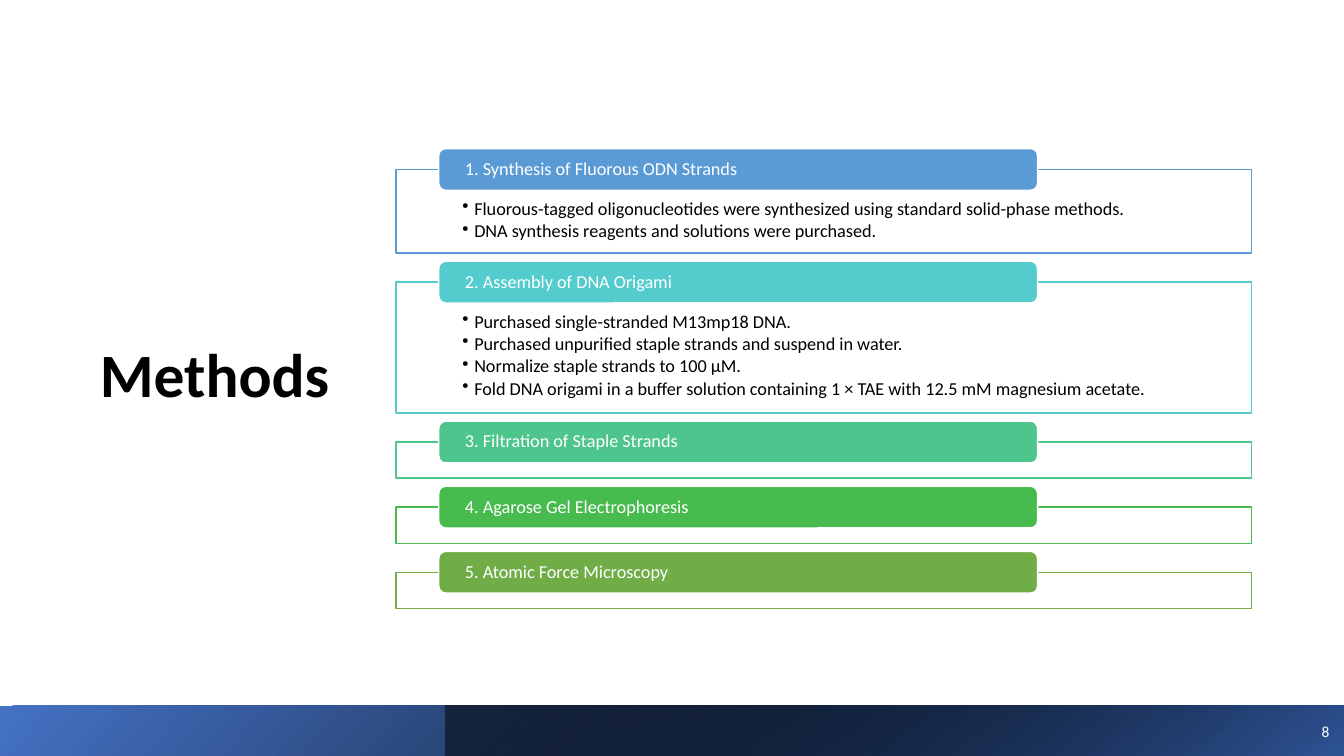
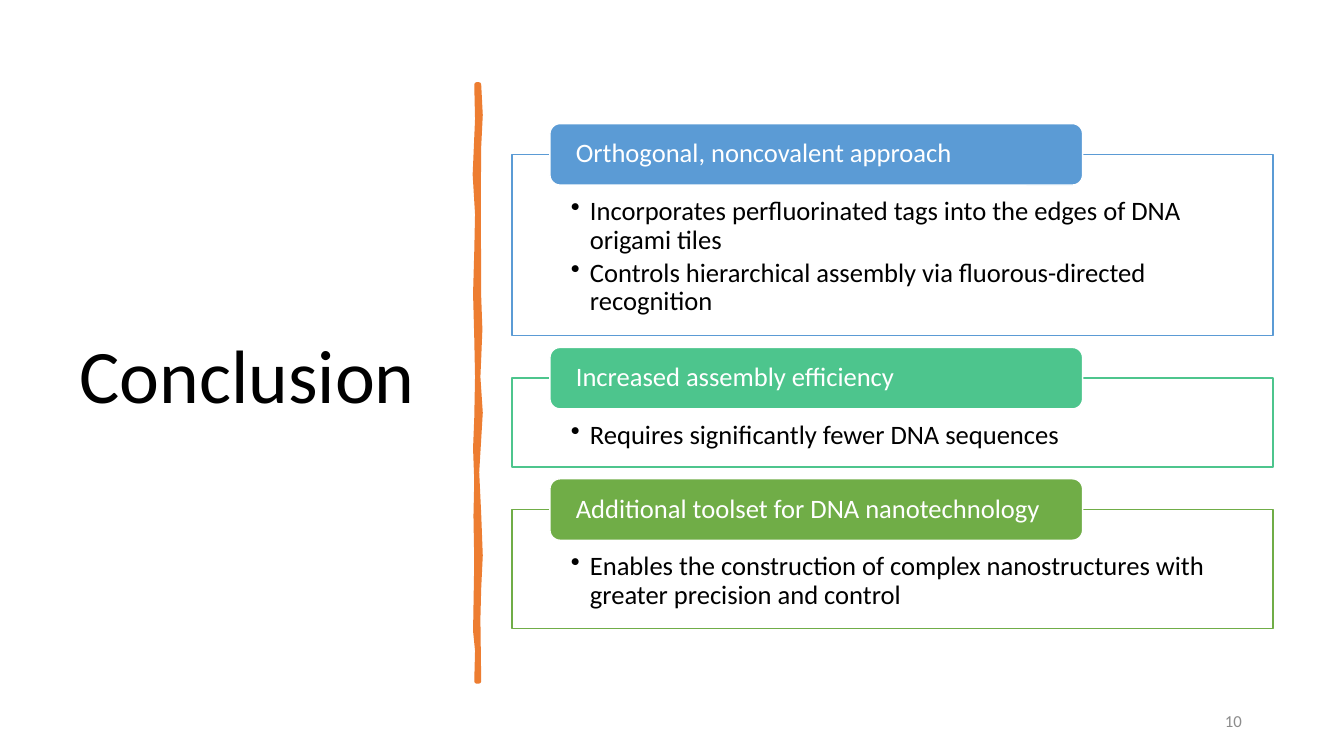
from dataclasses import dataclass

import pptx
import pptx.dml.color
import pptx.enum.shapes
import pptx.enum.text
import pptx.oxml
import pptx.oxml.ns
import pptx.util
from pptx.dml.color import RGBColor
from pptx.enum.shapes import MSO_SHAPE
from pptx.enum.text import MSO_ANCHOR, PP_ALIGN
from pptx.util import Cm

# Shared style
FONT = "Calibri"
WHITE = RGBColor(0xFF, 0xFF, 0xFF)
BLACK = RGBColor(0x00, 0x00, 0x00)
GRAY = RGBColor(0x8C, 0x8C, 0x8C)
BLUE = RGBColor(0x5B, 0x9B, 0xD5)
TEAL = RGBColor(0x54, 0xCC, 0xCD)
MINT = RGBColor(0x4D, 0xC5, 0x8D)
GREEN = RGBColor(0x48, 0xBB, 0x4F)
OLIVE = RGBColor(0x70, 0xAD, 0x47)
ORANGE = RGBColor(0xED, 0x7D, 0x31)
BAND_BLUE = RGBColor(0x44, 0x72, 0xC4)
BAND_NAVY = RGBColor(0x2F, 0x55, 0x97)

SLIDE_W, SLIDE_H = 33.87, 19.05
BAND_H = 1.27
LINE_SPACING = 0.9

# Brush stroke outline, in centimetres
STROKE_RIGHT = [(12.07, 2.13), (12.11, 2.9), (12.07, 3.7), (12.06, 5), (12.07, 7.47),
                (12.1, 8.3), (12.07, 9.04), (12.05, 9.5), (12.11, 10.4), (12.07, 11.07),
                (12.02, 11.9), (12.07, 12.95), (12.11, 14), (12.07, 14.83),
                (12.05, 15.6), (12.07, 17.17)]
STROKE_LEFT = [(12.01, 17.17), (12.03, 16.4), (11.98, 15.9), (12.01, 14.15),
               (11.99, 13), (12.01, 12.12), (11.98, 11.3), (12.01, 10.54),
               (12.03, 9.5), (12.01, 8.51), (11.98, 7.4), (12.01, 6.35),
               (12.03, 5.4), (11.97, 4.4), (12.03, 3), (12.01, 2.13)]


@dataclass
class Panel:
    label: str
    color: RGBColor
    height: float
    bullets: tuple[str, ...] = ()


@dataclass
class PanelStyle:
    """Lengths in centimetres, text size in points."""
    left: float
    top: float
    width: float
    gap: float
    tab_height: float
    tab_inset: float
    top_inset: float
    hanging: float
    size: float


def add_run(p, text: str, size: float, color: RGBColor, bold: bool = False) -> None:
    r = p.add_run()
    r.text = text
    r.font.name = FONT
    r.font.size = pptx.util.Pt(size)
    r.font.bold = bold
    r.font.color.rgb = color


def set_alpha(sp, percent: int) -> None:
    """Make the first colour of a shape's fill partly transparent."""
    clr = next(sp._element.spPr.iter(pptx.oxml.ns.qn("a:srgbClr")))
    alpha = pptx.oxml.parse_xml(
        f'<a:alpha {pptx.oxml.ns.nsdecls("a")} val="{percent * 1000}"/>')
    clr.append(alpha)


def add_box(slide, kind: MSO_SHAPE, left: float, top: float, width: float, height: float):
    sp = slide.shapes.add_shape(kind, Cm(left), Cm(top), Cm(width), Cm(height))
    sp.shadow.inherit = False
    return sp


def set_insets(tf, side: float, top: float, bottom: float) -> None:
    tf.word_wrap = True
    tf.margin_left = tf.margin_right = Cm(side)
    tf.margin_top, tf.margin_bottom = Cm(top), Cm(bottom)


def make_bullet(p, hanging: float) -> None:
    pPr = p._p.get_or_add_pPr()
    pPr.set("marL", str(Cm(hanging)))
    pPr.set("indent", str(-Cm(hanging)))
    pPr.append(pptx.oxml.parse_xml(
        f'<a:buChar {pptx.oxml.ns.nsdecls("a")} char="•"/>'))


def add_panels(slide, style: PanelStyle, panels: list[Panel]) -> None:
    top = style.top
    for panel in panels:
        # Outlined box with bullets
        sp = add_box(slide, MSO_SHAPE.RECTANGLE, style.left, top, style.width, panel.height)
        sp.fill.solid()
        sp.fill.fore_color.rgb = WHITE
        set_alpha(sp, 90)
        sp.line.color.rgb = panel.color
        sp.line.width = pptx.util.Pt(1)
        tf = sp.text_frame
        tf.vertical_anchor = MSO_ANCHOR.TOP
        set_insets(tf, 0.0776 * style.width, style.top_inset, 0.25)
        for i, text in enumerate(panel.bullets):
            p = tf.add_paragraph() if i else tf.paragraphs[0]
            p.alignment = PP_ALIGN.LEFT
            p.line_spacing = LINE_SPACING
            p.space_after = pptx.util.Pt(0.15 * style.size)
            make_bullet(p, style.hanging)
            add_run(p, text, style.size, BLACK)

        # Rounded label centred on the box's upper edge
        sp = add_box(slide, MSO_SHAPE.ROUNDED_RECTANGLE, style.left + 0.05 * style.width,
                     top - style.tab_height / 2, 0.7 * style.width, style.tab_height)
        sp.fill.solid()
        sp.fill.fore_color.rgb = panel.color
        sp.line.color.rgb = WHITE
        sp.line.width = pptx.util.Pt(1)
        tf = sp.text_frame
        tf.vertical_anchor = MSO_ANCHOR.MIDDLE
        set_insets(tf, style.tab_inset, 0, 0)
        p = tf.paragraphs[0]
        p.alignment = PP_ALIGN.LEFT
        p.line_spacing = LINE_SPACING
        add_run(p, panel.label, style.size, WHITE)
        top += panel.height + style.gap


def add_titled_slide(prs, title: str, left: float, top: float, width: float, height: float,
                     size: float, anchor: MSO_ANCHOR, bold: bool = False):
    slide = prs.slides.add_slide(prs.slide_layouts[5])
    sp = slide.shapes.title
    sp.left, sp.top, sp.width, sp.height = Cm(left), Cm(top), Cm(width), Cm(height)
    tf = sp.text_frame
    tf.word_wrap = True
    tf.auto_size = pptx.enum.text.MSO_AUTO_SIZE.NONE
    tf.vertical_anchor = anchor
    p = tf.paragraphs[0]
    p.alignment = PP_ALIGN.LEFT
    p.line_spacing = LINE_SPACING
    add_run(p, title, size, BLACK, bold)
    return slide


def add_number(slide, text: str, left: float, top: float, width: float,
               size: float, color: RGBColor) -> None:
    tb = slide.shapes.add_textbox(Cm(left), Cm(top), Cm(width), Cm(1.02))
    tf = tb.text_frame
    tf.word_wrap = True
    tf.vertical_anchor = MSO_ANCHOR.MIDDLE
    p = tf.paragraphs[0]
    p.alignment = PP_ALIGN.RIGHT
    add_run(p, text, size, color)


def add_band(slide, left: float, start: RGBColor, end: RGBColor,
             end_position: float, angle: float):
    """Gradient band from left to the slide's right edge."""
    sp = add_box(slide, MSO_SHAPE.RECTANGLE, left, SLIDE_H - BAND_H, SLIDE_W - left, BAND_H)
    sp.line.fill.background()
    sp.fill.gradient()
    sp.fill.gradient_angle = angle
    first, last = sp.fill.gradient_stops
    first.color.rgb, first.position = start, 0
    last.color.rgb, last.position = end, end_position
    return sp


def add_brush_stroke(slide) -> None:
    points = [(Cm(x), Cm(y)) for x, y in STROKE_RIGHT + STROKE_LEFT]
    fb = slide.shapes.build_freeform(*points[0])
    fb.add_line_segments(points[1:], close=True)
    sp = fb.convert_to_shape()
    sp.shadow.inherit = False
    sp.fill.solid()
    sp.fill.fore_color.rgb = ORANGE
    sp.line.color.rgb = ORANGE
    sp.line.width = pptx.util.Pt(3.25)


def build_methods(prs) -> None:
    slide = add_titled_slide(prs, "Methods", 2.26, 8.59, 7.24, 1.88, 44,
                             MSO_ANCHOR.BOTTOM, bold=True)
    add_band(slide, 0, BAND_BLUE, BLACK, 0.9, 320)
    set_alpha(add_band(slide, 11.22, BLACK, BAND_NAVY, 1, 310), 50)
    add_number(slide, "8", 32.51, 17.93, 1.24, 11, WHITE)
    style = PanelStyle(left=9.98, top=4.27, width=21.56, gap=0.73, tab_height=1.05,
                       tab_inset=0.61, top_inset=0.76, hanging=0.3, size=13)
    add_panels(slide, style, [
        Panel("1. Synthesis of Fluorous ODN Strands", BLUE, 2.11, (
            "Fluorous-tagged oligonucleotides were synthesized using standard "
            "solid-phase methods.",
            "DNA synthesis reagents and solutions were purchased.")),
        Panel("2. Assembly of DNA Origami", TEAL, 3.3, (
            "Purchased single-stranded M13mp18 DNA.",
            "Purchased unpurified staple strands and suspend in water.",
            "Normalize staple strands to 100 μM.",
            "Fold DNA origami in a buffer solution containing 1 × TAE with "
            "12.5 mM magnesium acetate.")),
        Panel("3. Filtration of Staple Strands", MINT, 0.91),
        Panel("4. Agarose Gel Electrophoresis", GREEN, 0.91),
        Panel("5. Atomic Force Microscopy", OLIVE, 0.91),
    ])


def build_conclusion(prs) -> None:
    slide = add_titled_slide(prs, "Conclusion", 1.75, 1.78, 9.5, 15.52, 54,
                             MSO_ANCHOR.MIDDLE)
    add_brush_stroke(slide)
    add_number(slide, "10", 23.93, 17.65, 7.62, 12, GRAY)
    style = PanelStyle(left=12.9, top=3.89, width=19.18, gap=1.07, tab_height=1.55,
                       tab_inset=0.58, top_inset=1.09, hanging=0.48, size=19)
    add_panels(slide, style, [
        Panel("Orthogonal, noncovalent approach", BLUE, 4.57, (
            "Incorporates perfluorinated tags into the edges of DNA origami tiles",
            "Controls hierarchical assembly via fluorous-directed recognition")),
        Panel("Increased assembly efficiency", MINT, 2.24, (
            "Requires significantly fewer DNA sequences",)),
        Panel("Additional toolset for DNA nanotechnology", OLIVE, 3, (
            "Enables the construction of complex nanostructures with "
            "greater precision and control",)),
    ])


def main() -> None:
    prs = pptx.Presentation()
    prs.slide_width, prs.slide_height = Cm(SLIDE_W), Cm(SLIDE_H)
    build_methods(prs)
    build_conclusion(prs)
    prs.save("out.pptx")


if __name__ == "__main__":
    main()
